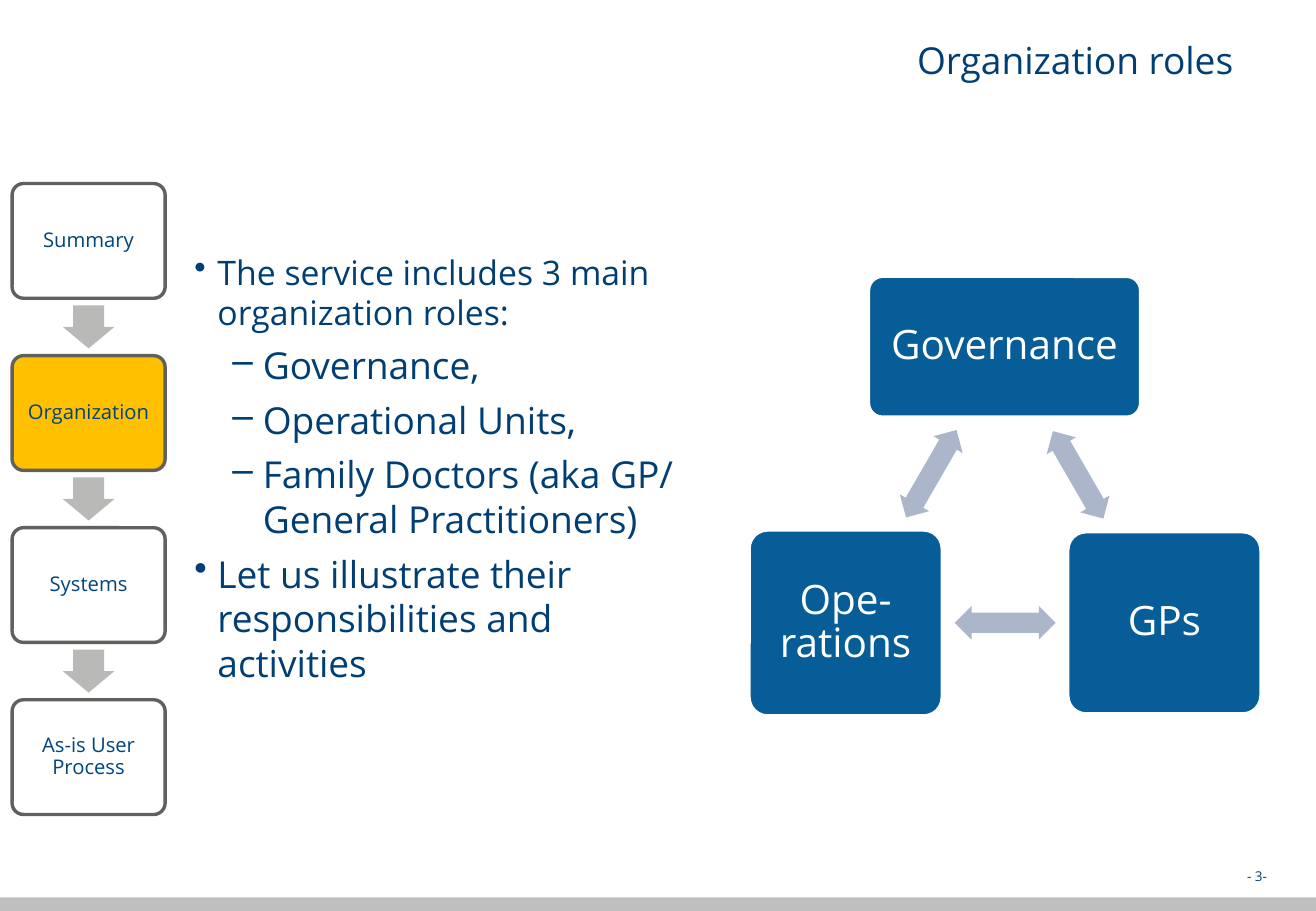
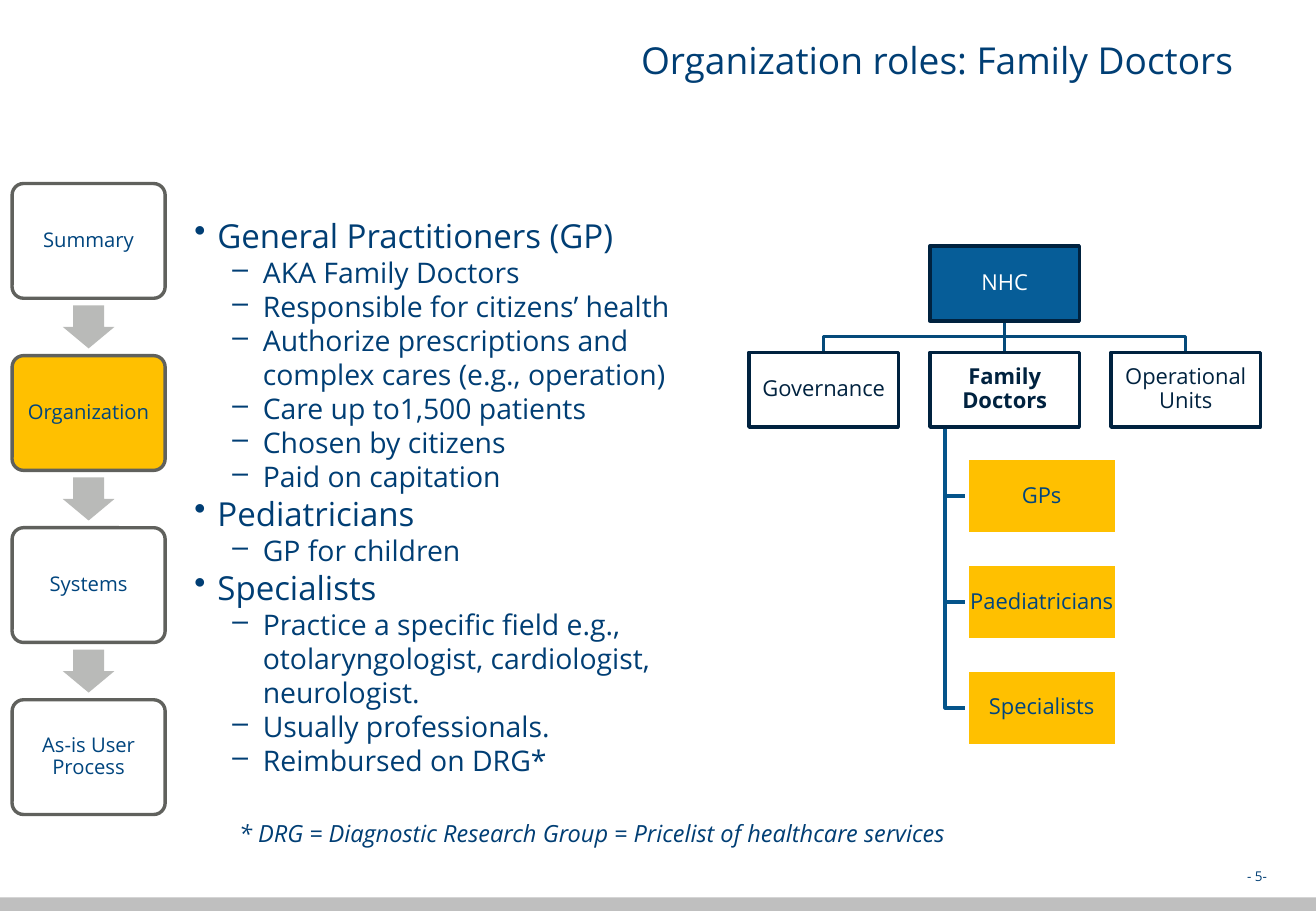
from lxml import etree
from pptx import Presentation
from pptx.dml.color import RGBColor
from pptx.enum.shapes import MSO_CONNECTOR, MSO_SHAPE
from pptx.enum.text import MSO_ANCHOR, PP_ALIGN
from pptx.oxml.ns import qn
from pptx.util import Pt

RECTANGLE = MSO_SHAPE.RECTANGLE
ROUNDED = MSO_SHAPE.ROUNDED_RECTANGLE
DOWN_ARROW = MSO_SHAPE.DOWN_ARROW
DOUBLE_ARROW = MSO_SHAPE.LEFT_RIGHT_ARROW
STRAIGHT = MSO_CONNECTOR.STRAIGHT
TOP, MIDDLE, BOTTOM = MSO_ANCHOR.TOP, MSO_ANCHOR.MIDDLE, MSO_ANCHOR.BOTTOM
LEFT, CENTER, RIGHT = PP_ALIGN.LEFT, PP_ALIGN.CENTER, PP_ALIGN.RIGHT

FONT = "Open Sans"
WHITE = RGBColor(0xFF, 0xFF, 0xFF)
NAVY = RGBColor(0x00, 0x3E, 0x74)
STEP_TEXT = RGBColor(0x00, 0x45, 0x7E)
DARK = RGBColor(0x00, 0x22, 0x3F)
BLUE = RGBColor(0x06, 0x5D, 0x98)
UNIT_LINE = RGBColor(0x05, 0x4A, 0x7A)
DOCTOR_LINE = RGBColor(0x05, 0x54, 0x8A)
AMBER = RGBColor(0xFF, 0xC0, 0x00)
BAND = RGBColor(0xBF, 0xBF, 0xBF)
STEP_BORDER = RGBColor(0x60, 0x61, 0x5D)
STEP_ARROW = RGBColor(0xB9, 0xBA, 0xB8)
ROLE_ARROW = RGBColor(0xAB, 0xB6, 0xCA)

SLIDE_WIDTH, SLIDE_HEIGHT = 780, 540
STEPS = ["Summary", "Organization", "Systems", "As-is User Process"]
CURRENT_STEP = "Organization"
BULLETS = [("•", 13.7, 13.7), ("–", 40.6, 18)]

ROLE_POINTS = [
    (0, 20, "The service includes 3 main organization roles:"),
    (1, 22, "Governance,"),
    (1, 22, "Operational Units,"),
    (1, 22, "Family Doctors (aka GP/ General Practitioners)"),
    (0, 22, "Let us illustrate their responsibilities and activities"),
]
ROLES = [
    ("Governance", (514.8, 163.8, 161.3, 83.5)),
    ("GPs", (632.9, 315.2, 114.5, 108)),
    ("Ope-rations", (444, 314.2, 114.5, 110.2)),
]
ROLE_ARROWS = [(639, 281.5, 60), (595.8, 369.2, 0), (552, 280.8, 300)]

DOCTOR_POINTS = [
    (0, 19.6, "General Practitioners (GP)"),
    (1, 16.8, "AKA Family Doctors"),
    (1, 16.8, "Responsible for citizens’ health"),
    (1, 16.8, "Authorize prescriptions and complex cares (e.g., operation)"),
    (1, 16.8, "Care up to1,500 patients"),
    (1, 16.8, "Chosen by citizens"),
    (1, 16.8, "Paid on capitation"),
    (0, 19.6, "Pediatricians"),
    (1, 16.8, "GP for children"),
    (0, 19.6, "Specialists"),
    (1, 16.8, "Practice a specific field e.g., otolaryngologist, cardiologist, neurologist."),
    (1, 16.8, "Usually professionals."),
    (1, 16.8, "Reimbursed on DRG*"),
]
UNITS = ["Governance", "Family Doctors", "Operational Units"]
DOCTORS = ["GPs", "Paediatricians", "Specialists"]
FOOTNOTE = "* DRG = Diagnostic Research Group = Pricelist of healthcare services"


def set_frame(frame, anchor, insets, wrap=True):
    frame.word_wrap = wrap
    frame.vertical_anchor = anchor
    frame.margin_left, frame.margin_top, frame.margin_right, frame.margin_bottom = map(Pt, insets)


def style(paragraph, size, color, align=LEFT, spacing=1.0, bold=False, italic=False):
    paragraph.alignment = align
    paragraph.line_spacing = spacing
    font = paragraph.font
    font.name, font.size, font.bold, font.italic = FONT, Pt(size), bold, italic
    font.color.rgb = color


def add_text(slide, box, text, size, color, anchor=TOP, insets=(7.2, 3.6, 7.2, 3.6),
             wrap=True, **options):
    frame = slide.shapes.add_textbox(*map(Pt, box)).text_frame
    set_frame(frame, anchor, insets, wrap)
    frame.text = text
    style(frame.paragraphs[0], size, color, **options)


def add_box(slide, kind, box, fill, line=None, adjustments=()):
    shape = slide.shapes.add_shape(kind, *map(Pt, box))
    shape.shadow.inherit = False
    shape.fill.solid()
    shape.fill.fore_color.rgb = fill
    if line is None:
        shape.line.fill.background()
    else:
        shape.line.color.rgb = line
        shape.line.width = Pt(2)
    for index, value in enumerate(adjustments):
        shape.adjustments[index] = value
    return shape


def add_label(shape, text, size, color, inset, bold=False):
    set_frame(shape.text_frame, MIDDLE, [inset] * 4)
    shape.text_frame.text = text
    style(shape.text_frame.paragraphs[0], size, color, CENTER, 0.9, bold)


def add_polyline(slide, points, color):
    corners = [(Pt(x), Pt(y)) for x, y in points]
    builder = slide.shapes.build_freeform(*corners[0])
    builder.add_line_segments(corners[1:], close=False)
    shape = builder.convert_to_shape()
    shape.shadow.inherit = False
    shape.fill.background()
    shape.line.color.rgb = color
    shape.line.width = Pt(2)


def add_straight(slide, start, end, color):
    connector = slide.shapes.add_connector(STRAIGHT, *map(Pt, start + end))
    connector.line.color.rgb = color
    connector.line.width = Pt(2)
    etree.SubElement(connector.element.spPr, qn("a:effectLst"))


def add_bullets(slide, points, top, anchor, gap):
    left, bottom, width = 115.2, 482.4, 306
    frame = slide.shapes.add_textbox(Pt(left), Pt(top), Pt(width), Pt(bottom - top)).text_frame
    set_frame(frame, anchor, (0, 3.6, 7.2, 3.6))
    for index, (level, size, text) in enumerate(points):
        paragraph = frame.add_paragraph() if index else frame.paragraphs[0]
        paragraph.text = text
        paragraph.level = level
        symbol, margin, hanging = BULLETS[level]
        properties = paragraph._p.get_or_add_pPr()
        properties.set("marL", str(Pt(margin)))
        properties.set("indent", str(-Pt(hanging)))
        etree.SubElement(properties, qn("a:buChar"), char=symbol)
        paragraph.space_before = Pt(gap if index else 0)
        style(paragraph, size, NAVY)


def add_steps(slide):
    left, top, width, height, pitch = 7.2, 108.8, 90.7, 68, 102
    arrow_width, arrow_height = 30.6, 25.5
    for index, step in enumerate(STEPS):
        y = top + index * pitch
        fill = AMBER if step == CURRENT_STEP else WHITE
        shape = add_box(slide, ROUNDED, (left, y, width, height), fill, STEP_BORDER, [0.1])
        add_label(shape, step, 12, STEP_TEXT, 5)
        if index < len(STEPS) - 1:
            arrow_top = y + (height + pitch - arrow_height) / 2
            arrow_left = left + (width - arrow_width) / 2
            add_box(slide, DOWN_ARROW, (arrow_left, arrow_top, arrow_width, arrow_height),
                    STEP_ARROW, adjustments=[0.6, 0.5])


def start_slide(presentation, title, number):
    slide = presentation.slides.add_slide(presentation.slide_layouts[6])
    add_text(slide, (639.4, 505.6, 117.4, 18.4), f"- {number}-", 8, NAVY, BOTTOM,
             (0, 0, 5.8, 0), align=RIGHT)
    add_box(slide, RECTANGLE, (0, 532, SLIDE_WIDTH, 8), BAND)
    add_text(slide, (115.2, 18, 629.3, 76.3), title, 22, NAVY,
             insets=(7.2, 2.9, 13.4, 2.9), align=RIGHT, spacing=1.05)
    add_steps(slide)
    return slide


def add_roles(slide):
    for text, box in ROLES:
        shape = add_box(slide, ROUNDED, box, BLUE, WHITE, [0.1])
        add_label(shape, text, 24, WHITE, 7.2)
    width, height = 59.8, 20
    for center_x, center_y, angle in ROLE_ARROWS:
        arrow = add_box(slide, DOUBLE_ARROW,
                        (center_x - width / 2, center_y - height / 2, width, height),
                        ROLE_ARROW, adjustments=[0.6, 0.5])
        arrow.rotation = angle


def add_organization(slide):
    width, height = 88.6, 44.4
    left, pitch_x, root_top, unit_top = 443.9, 107.3, 145.9, 208.8
    doctor_left, doctor_top, pitch_y = 573.1, 271.8, 62.8
    root_left = left + pitch_x
    root_x, root_bottom = root_left + width / 2, root_top + height
    bus_y = (root_bottom + unit_top) / 2
    trunk_x, trunk_top = root_left + 8.9, unit_top + height
    unit_lefts = [left + index * pitch_x for index in range(len(UNITS))]
    doctor_tops = [doctor_top + index * pitch_y for index in range(len(DOCTORS))]

    for unit_left in (unit_lefts[0], unit_lefts[-1]):
        x = unit_left + width / 2
        add_polyline(slide, [(root_x, root_bottom), (root_x, bus_y), (x, bus_y), (x, unit_top)],
                     UNIT_LINE)
    add_straight(slide, (root_x, root_bottom), (root_x, unit_top), UNIT_LINE)
    for top in doctor_tops:
        y = top + height / 2
        add_polyline(slide, [(trunk_x, trunk_top), (trunk_x, y), (doctor_left, y)], DOCTOR_LINE)

    nodes = [("NHC", root_left, root_top, BLUE, DARK, WHITE)]
    nodes += [(text, x, unit_top, WHITE, DARK, DARK) for text, x in zip(UNITS, unit_lefts)]
    nodes += [(text, doctor_left, y, AMBER, WHITE, STEP_TEXT)
              for text, y in zip(DOCTORS, doctor_tops)]
    for text, x, y, fill, line, color in nodes:
        shape = add_box(slide, RECTANGLE, (x, y, width, height), fill, line)
        add_label(shape, text, 13, color, 0.7, bold=text == "Family Doctors")


def main():
    presentation = Presentation()
    presentation.slide_width, presentation.slide_height = Pt(SLIDE_WIDTH), Pt(SLIDE_HEIGHT)

    slide = start_slide(presentation, "Organization roles", 3)
    add_bullets(slide, ROLE_POINTS, 145.4, TOP, 6)
    add_roles(slide)

    slide = start_slide(presentation, "Organization roles: Family Doctors", 5)
    add_bullets(slide, DOCTOR_POINTS, 105.8, MIDDLE, 0)
    add_organization(slide)
    add_text(slide, (134.6, 481.7, 483, 24.5), FOOTNOTE, 14, NAVY, wrap=False, italic=True)

    presentation.save("out.pptx")


if __name__ == "__main__":
    main()
